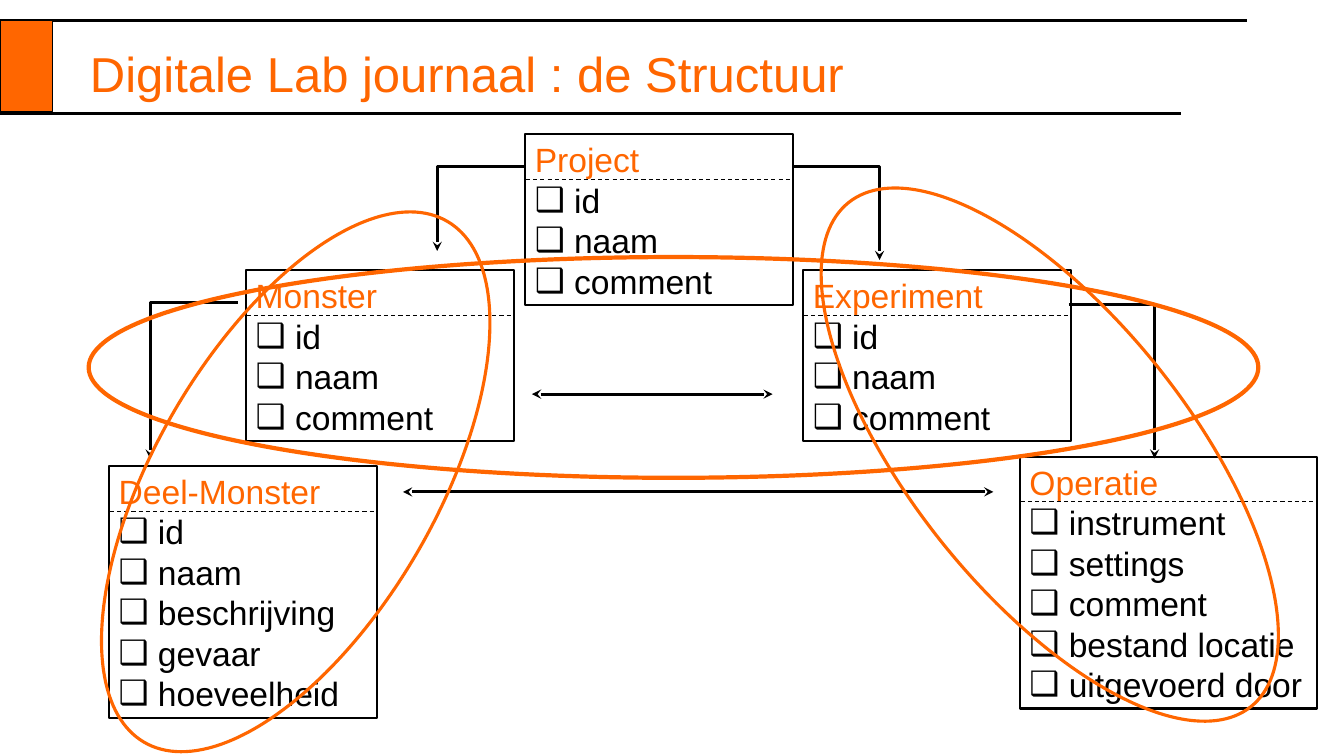
from lxml import etree
from pptx import Presentation
from pptx.dml.color import RGBColor
from pptx.enum.dml import MSO_LINE
from pptx.enum.shapes import MSO_CONNECTOR, MSO_SHAPE
from pptx.enum.text import MSO_ANCHOR, PP_ALIGN
from pptx.oxml.ns import qn
from pptx.util import Inches, Pt

COLORS = {"orange": "FF6600", "black": "000000"}
FONT = "Arial"

ENTITIES = [
    ("Project", 5.21, 1.33, 2.66, 1.7, ["id", "naam", "comment"]),
    ("Experiment", 7.97, 2.68, 2.66, 1.7, ["id", "naam", "comment"]),
    ("Monster", 2.44, 2.68, 2.66, 1.7, ["id", "naam", "comment"]),
    ("Deel-Monster", 1.08, 4.62, 2.66, 2.5,
     ["id", "naam", "beschrijving", "gevaar", "hoeveelheid"]),
    ("Operatie", 10.12, 4.53, 2.95, 2.5,
     ["instrument", "settings", "comment", "bestand locatie", "uitgevoerd door"]),
]
ELBOWS = [
    (5.21, 1.65, 4.34, 2.49),
    (7.88, 1.65, 8.73, 2.58),
    (2.36, 3.0, 1.49, 4.55),
    (10.61, 3.02, 11.46, 4.55),
]
DOUBLE_ARROWS = [(5.28, 7.67, 3.91), (4.0, 9.86, 4.88)]
ELLIPSES = [
    (0.88, 2.55, 11.61, 2.19, 0, 3),
    (1.54, 1.79, 2.79, 5.98, 30.2, 2.25),
    (9.04, 1.31, 2.76, 6.4, 321.4, 2.25),
]


def rgb(name):
    return RGBColor.from_string(COLORS[name])


def style_line(sp, width, color="black", ends=()):
    sp.line.color.rgb = rgb(color)
    sp.line.width = Pt(width)
    ln = sp.line._get_or_add_ln()
    for end in ends:
        etree.SubElement(ln, qn(f"a:{end}"), type="stealth")


def style_font(p, size, color):
    for r in p.runs:
        r.font.name = FONT
        r.font.size = Pt(size)
        r.font.color.rgb = rgb(color)


def add_bullet(p):
    pPr = p._p.get_or_add_pPr()
    pPr.set("marL", str(Inches(0.39)))
    pPr.set("indent", str(-Inches(0.39)))
    clr = etree.SubElement(pPr, qn("a:buClr"))
    etree.SubElement(clr, qn("a:srgbClr"), val=COLORS["black"])
    etree.SubElement(pPr, qn("a:buFont"), typeface=FONT)
    etree.SubElement(pPr, qn("a:buChar"), char="❑")


def add_outline(slide, kind, x, y, w, h, width, color="black"):
    sp = slide.shapes.add_shape(kind, Inches(x), Inches(y), Inches(w), Inches(h))
    sp.shadow.inherit = False
    sp.fill.background()
    style_line(sp, width, color)
    return sp


def add_hline(slide, x1, x2, y, width, ends=()):
    line = slide.shapes.add_connector(
        MSO_CONNECTOR.STRAIGHT, Inches(x1), Inches(y), Inches(x2), Inches(y))
    style_line(line, width, ends=ends)
    etree.SubElement(line._element.spPr, qn("a:effectLst"))
    return line


def add_elbow(slide, x1, y1, x2, y2):
    builder = slide.shapes.build_freeform(Inches(x1), Inches(y1))
    builder.add_line_segments(
        [(Inches(x2), Inches(y1)), (Inches(x2), Inches(y2))], close=False)
    sp = builder.convert_to_shape()
    sp.shadow.inherit = False
    sp.fill.background()
    style_line(sp, 2.25, ends=["tailEnd"])


def add_entity(slide, name, x, y, w, h, fields):
    sp = add_outline(slide, MSO_SHAPE.RECTANGLE, x, y, w, h, 1.5)
    tf = sp.text_frame
    tf.word_wrap = True
    tf.vertical_anchor = MSO_ANCHOR.TOP
    tf.margin_right = 0
    tf.text = name
    p = tf.paragraphs[0]
    p.alignment = PP_ALIGN.LEFT
    style_font(p, 24, "orange")
    for field in fields:
        p = tf.add_paragraph()
        p.text = field
        p.alignment = PP_ALIGN.LEFT
        p.line_spacing = Pt(28.9)
        add_bullet(p)
        style_font(p, 24, "black")
    divider = add_hline(slide, x + 0.01, x + w - 0.01, y + 0.45, 0.75)
    divider.line.dash_style = MSO_LINE.DASH


def add_title(slide, text):
    title = slide.shapes.title
    title.left, title.top = Inches(0.55), Inches(0.32)
    title.width, title.height = Inches(8.18), Inches(0.8)
    tf = title.text_frame
    tf.text = text
    tf.vertical_anchor = MSO_ANCHOR.MIDDLE
    p = tf.paragraphs[0]
    p.alignment = PP_ALIGN.CENTER
    style_font(p, 35, "orange")


def add_header_frame(slide):
    add_hline(slide, 0, 11.72, 1.13, 2.25)
    add_hline(slide, 0, 12.38, 0.2, 2.25)
    block = add_outline(slide, MSO_SHAPE.RECTANGLE, 0, 0.2, 0.52, 0.91, 0.75)
    block.fill.solid()
    block.fill.fore_color.rgb = rgb("orange")


def main():
    prs = Presentation()
    prs.slide_width, prs.slide_height = Inches(13.34), Inches(7.5)
    slide = prs.slides.add_slide(prs.slide_layouts[5])
    add_title(slide, "Digitale Lab journaal : de Structuur")
    add_header_frame(slide)
    for entity in ENTITIES:
        add_entity(slide, *entity)
    for elbow in ELBOWS:
        add_elbow(slide, *elbow)
    for x1, x2, y in DOUBLE_ARROWS:
        add_hline(slide, x1, x2, y, 2.25, ["headEnd", "tailEnd"])
    for x, y, w, h, angle, width in ELLIPSES:
        sp = add_outline(slide, MSO_SHAPE.OVAL, x, y, w, h, width, "orange")
        sp.rotation = angle
    prs.save("out.pptx")


if __name__ == "__main__":
    main()
